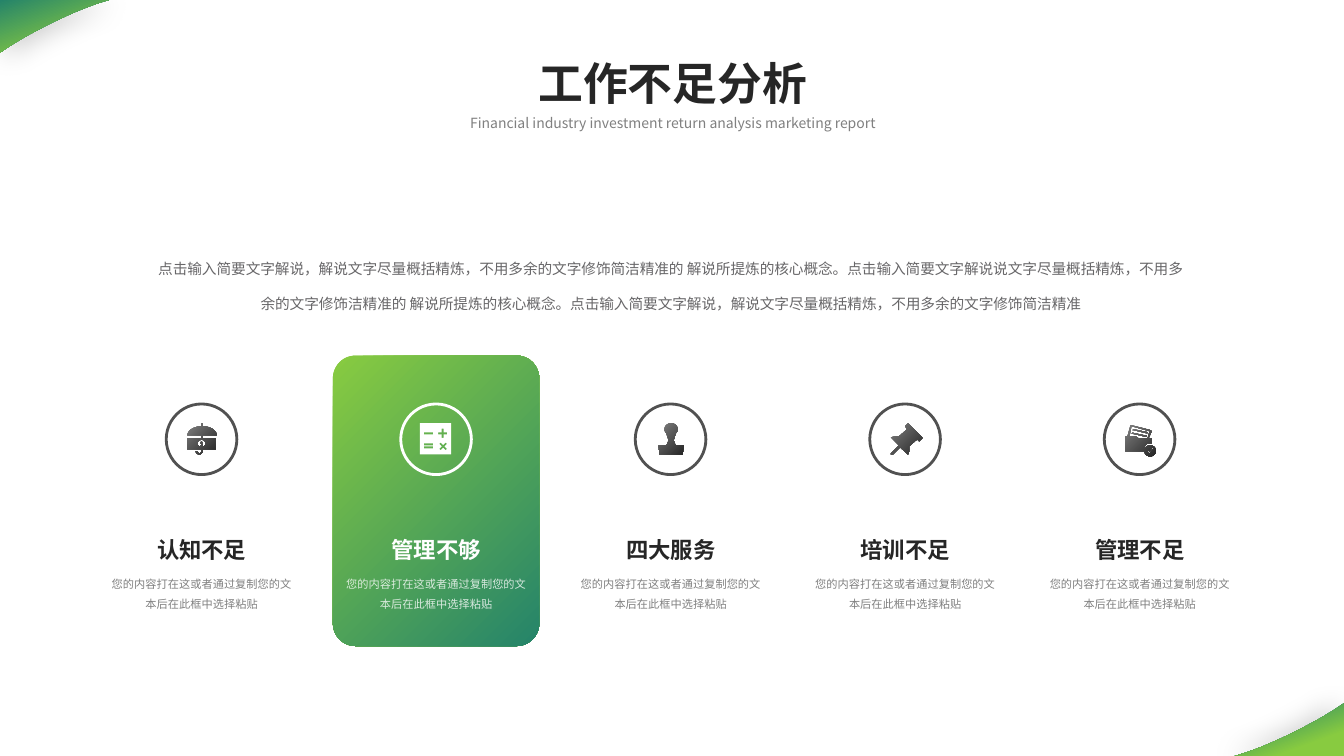
from math import cos, radians, sin

from lxml import etree
from pptx import Presentation
from pptx.dml.color import RGBColor
from pptx.enum.shapes import MSO_SHAPE as SHAPE
from pptx.enum.text import MSO_ANCHOR as ANCHOR, MSO_AUTO_SIZE as AUTO, PP_ALIGN as ALIGN
from pptx.oxml.ns import qn
from pptx.util import Cm, Pt

FONT = "Noto Sans CJK SC"
INK, GREY, WHITE, RING = "262626", "808080", "FFFFFF", "515151"
LIME, TEAL = "88CB40", "25846A"
SLIDE_W, SLIDE_H = 33.87, 19.05
ICON_UNIT = Cm(2.54) / 100

INTRO = (
    "点击输入简要文字解说，解说文字尽量概括精炼，不用多余的文字修饰简洁精准的 "
    "解说所提炼的核心概念。点击输入简要文字解说说文字尽量概括精炼，不用多余的文字修饰洁精准的 "
    "解说所提炼的核心概念。点击输入简要文字解说，解说文字尽量概括精炼，不用多余的文字修饰简洁精准"
)
DETAIL = "您的内容打在这或者通过复制您的文本后在此框中选择粘贴"


def color(value):
    return RGBColor.from_string(value)


def gradient(sp, stops, angle):
    sp.fill.gradient()
    sp.fill.gradient_angle = 360 - angle
    for stop, (position, value) in zip(sp.fill.gradient_stops, stops):
        stop.position = position
        stop.color.rgb = color(value)


def write(sp, text, size, value, bold=False, spacing=None, inset=None, alpha=None):
    tf = sp.text_frame
    tf.text = text
    tf.word_wrap = True
    tf.auto_size = AUTO.NONE
    tf.vertical_anchor = ANCHOR.TOP
    if inset is not None:
        tf.margin_left = tf.margin_right = tf.margin_top = tf.margin_bottom = inset
    p = tf.paragraphs[0]
    p.alignment = ALIGN.CENTER
    if spacing:
        p.line_spacing = spacing
    r = p.runs[0]
    r.font.size, r.font.bold, r.font.name = Pt(size), bold, FONT
    r.font.color.rgb = color(value)
    rpr = r.font._element
    etree.SubElement(rpr, qn("a:ea")).set("typeface", FONT)
    if alpha:
        clr = rpr.find(qn("a:solidFill")).find(qn("a:srgbClr"))
        etree.SubElement(clr, qn("a:alpha")).set("val", str(alpha * 1000))


def textbox(slide, x, y, w, h, *args, **kwargs):
    sp = slide.shapes.add_textbox(Cm(x), Cm(y), Cm(w), Cm(h))
    write(sp, *args, **kwargs)


def outline(slide, contours, unit, x=0, y=0):
    """Draw closed contours, measured in unit from the point x, y."""
    fb = None
    for contour in contours:
        pts = [(round(a * unit), round(b * unit)) for a, b in contour]
        if fb is None:
            fb = slide.shapes.build_freeform(*pts[0], scale=1.0)
        else:
            fb.move_to(*pts[0])
        fb.add_line_segments(pts[1:], close=True)
    sp = fb.convert_to_shape(Cm(x), Cm(y))
    sp.shadow.inherit = False
    sp.line.fill.background()
    return sp


# Contour helpers for the icons
def rect(l, t, r, b):
    return [(l, t), (r, t), (r, b), (l, b)]


def arc(cx, cy, rx, ry, start=0, end=360, steps=24):
    angles = [radians(start + (end - start) * i / steps) for i in range(steps + 1)]
    return [(cx + rx * cos(a), cy + ry * sin(a)) for a in angles]


def cross(cx, cy, turn=0, arm=4.5, half=1):
    quarter = [(half, -half), (arm, -half), (arm, half)]
    pts = []
    for k in range(4):
        a = radians(turn + 90 * k)
        pts += [(cx + x * cos(a) - y * sin(a), cy + x * sin(a) + y * cos(a)) for x, y in quarter]
    return pts


def card_line(dx, dy):
    line = [(8, -7), (-6, -10), (-7, -9), (-6, -9), (7, -6), (8, -6)]
    return [(x + dx, y + dy) for x, y in line]


# Icon contours in hundredths of an inch from the ring centre
UMBRELLA = [
    arc(0.5, -4, 14.5, 9, 180, 360),
    rect(0, -16, 1, -13),
    rect(0, -4, 1, -1),
    rect(-14, -1, 14, 10),
    arc(0, 4, 4, 3.5),
    [(0, 2), (-1, 3), (-1, 4), (0.5, 5), (0, 6), (-1, 6), (0, 7), (1, 6), (1, 4.5),
     (0, 3.5), (1, 3)],
    [(0, 10), (0, 12), (-1, 14), (-3, 14), (-4, 12), (-6, 12), (-5, 14), (-3, 15),
     (-1, 15), (1, 13), (1, 10)],
]
CALCULATOR = [
    rect(-16, -16, 15, 15),
    rect(-12, -7, -3, -5),
    rect(-12, 4, -3, 6),
    rect(-12, 7, -3, 9),
    cross(6.5, -6),
    cross(7, 7, 45),
]
STAMP = [
    [(13, 6), (5, 6), (3, 1), *arc(0.5, -10, 6.5, 6, 45, -225), (-2, 1), (-4, 6),
     (-12, 6), (-11, 15), (12, 15)],
]
PIN = [
    [(17, -2), (3, -16), (0, -13), (2, -10), (-6, -3), (-9, -3), (-14, -2), (-6, 6),
     (-14, 14), (-14, 15), (-12, 15), (-5, 8), (3, 15), (4, 12), (4, 7), (12, 0),
     (14, 2), (17, -1)],
]
WALLET = [
    [(12, 4), (12, -1), (9, -1), (12, -8), (11, -9), (-8, -14), (-9, -14), (-12, -3),
     (-14, -3), (-14, 12), (4, 12), (5, 7), (8, 4)],
    [(-1, -1), (-4, -3), (-10, -3), (-8, -13), (10, -8), (8, -1)],
    card_line(0, 0),
    card_line(-1, 3.5),
    arc(10.5, 11.5, 5.75, 5.5),
    [(14, 9), (10, 14), (9, 14), (7, 11), (8, 11), (10, 12), (13, 8)],
]
COLUMNS = [
    ("认知不足", UMBRELLA),
    ("管理不够", CALCULATOR),
    ("四大服务", STAMP),
    ("培训不足", PIN),
    ("管理不足", WALLET),
]
HIGHLIGHT = 1


def bezier(p0, p1, p2, p3, steps=24):
    ts = [i / steps for i in range(steps + 1)]
    return [tuple((1 - t) ** 3 * a + 3 * t * (1 - t) ** 2 * b + 3 * t * t * (1 - t) * c + t ** 3 * d
                  for a, b, c, d in zip(p0, p1, p2, p3)) for t in ts]


def corner(slide, x, y, sign, stops, shadow_angle):
    """Curved wedge at the slide corner x, y; sign turns it half round."""
    curve = bezier((2.75, 0), (1.88, 0.23), (0.53, 0.94), (0, 1.33))
    wedge = [(0, 0)] + [(sign * a, sign * b) for a, b in curve]
    sp = outline(slide, [wedge], Cm(1), x, y)
    gradient(sp, stops, 70)
    effects = sp._element.spPr.find(qn("a:effectLst"))
    shadow = etree.SubElement(effects, qn("a:outerShdw"), blurRad=str(Pt(20)), dist=str(Pt(5)),
                              dir=str(shadow_angle * 60000), algn="ctr", rotWithShape="0")
    clr = etree.SubElement(shadow, qn("a:srgbClr"), val="000000")
    etree.SubElement(clr, qn("a:alpha"), val="20000")


def header(slide, x, y, w):
    title = slide.shapes.title
    title.left, title.top, title.width, title.height = Cm(x), Cm(y), Cm(w), Cm(1.63)
    write(title, "工作不足分析", 32, INK, bold=True)
    textbox(slide, x, y + 1.5, w, 0.69,
            "Financial industry investment return analysis marketing report", 10, GREY)


def column(slide, cx, y, w, h, name, icon, highlighted):
    """One shortcoming, centred on cx in a card of w by h."""
    if highlighted:
        card = slide.shapes.add_shape(SHAPE.ROUNDED_RECTANGLE, Cm(cx - w / 2), Cm(y), Cm(w), Cm(h))
        card.adjustments[0] = 0.11
        card.shadow.inherit = False
        card.line.fill.background()
        gradient(card, [(0, LIME), (1, TEAL)], 45)
    # Ring and icon
    d, mid = 1.78, y + 2.11
    ring = slide.shapes.add_shape(SHAPE.OVAL, Cm(cx - d / 2), Cm(mid - d / 2), Cm(d), Cm(d))
    ring.shadow.inherit = False
    ring.fill.background()
    ring.line.color.rgb = color(WHITE if highlighted else RING)
    ring.line.width = Pt(2)
    sp = outline(slide, icon, ICON_UNIT, cx, mid)
    if highlighted:
        sp.fill.solid()
        sp.fill.fore_color.rgb = color(WHITE)
    else:
        gradient(sp, [(0, GREY), (1, INK)], 45)
    # Name and detail
    textbox(slide, cx - 2.37, y + 4.42, 4.75, 0.94, name, 16,
            WHITE if highlighted else INK, bold=True)
    textbox(slide, cx - 2.27, y + 5.41, 4.55, 0.97, DETAIL, 8, WHITE if highlighted else GREY,
            spacing=1.5, inset=0, alpha=80 if highlighted else None)


def main():
    prs = Presentation()
    prs.slide_width, prs.slide_height = Cm(SLIDE_W), Cm(SLIDE_H)
    slide = prs.slides.add_slide(prs.slide_layouts[5])
    corner(slide, 0, 0, 1, [(0, TEAL), (0.79, LIME)], 45)
    corner(slide, SLIDE_W, SLIDE_H, -1, [(0.09, TEAL), (0.74, LIME)], 180)
    header(slide, 9.22, 1.27, 15.47)
    textbox(slide, 3.71, 5.97, 26.42, 3.86, INTRO, 10.5, "686769", spacing=2.0)
    for i, (name, icon) in enumerate(COLUMNS):
        column(slide, 5.08 + 5.91 * i, 8.96, 5.2, 7.32, name, icon, i == HIGHLIGHT)
    prs.save("out.pptx")


if __name__ == "__main__":
    main()
